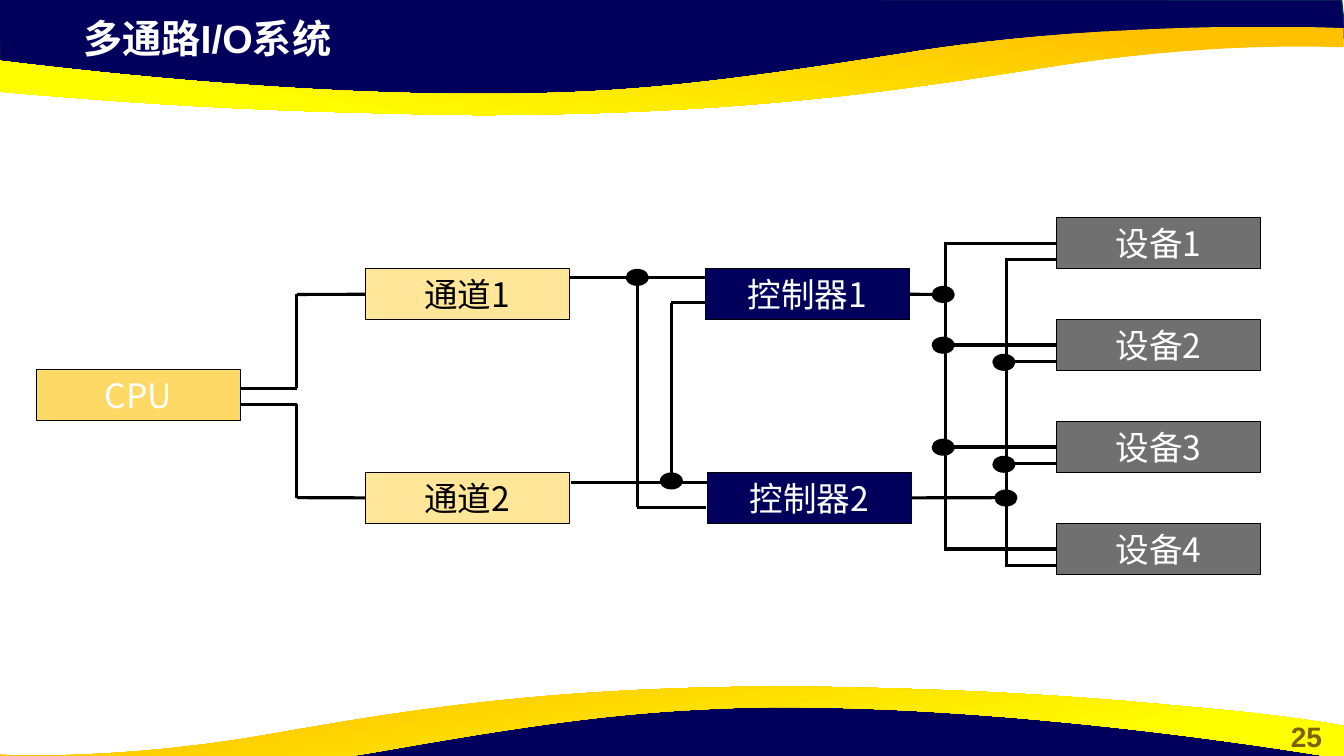
from lxml import etree
from pptx import Presentation
from pptx.dml.color import RGBColor
from pptx.enum.shapes import MSO_CONNECTOR, MSO_SHAPE
from pptx.enum.text import MSO_ANCHOR, PP_ALIGN
from pptx.oxml.ns import qn
from pptx.util import Cm, Pt

STRAIGHT = MSO_CONNECTOR.STRAIGHT
RECTANGLE, OVAL = MSO_SHAPE.RECTANGLE, MSO_SHAPE.OVAL
MIDDLE = MSO_ANCHOR.MIDDLE
LEFT, CENTER = PP_ALIGN.LEFT, PP_ALIGN.CENTER
LEFT_SIDE, RIGHT_SIDE = 1, 3

NAVY = RGBColor(0x00, 0x00, 0x5C)
NAVY_EDGE = RGBColor(0x05, 0x30, 0x4F)
ORANGE = RGBColor(0xFF, 0xC0, 0x00)
YELLOW = RGBColor(0xFF, 0xFF, 0x00)
BROWN = RGBColor(0x80, 0x60, 0x00)
GOLD = RGBColor(0xFF, 0xD9, 0x66)
CREAM = RGBColor(0xFF, 0xE6, 0x99)
GRAY = RGBColor(0x70, 0x70, 0x70)
WHITE = RGBColor(0xFF, 0xFF, 0xFF)
BLACK = RGBColor(0x00, 0x00, 0x00)
CJK_FONT = "Noto Sans CJK SC"

presentation = Presentation()
presentation.slide_width, presentation.slide_height = Cm(33.87), Cm(19.05)
slide = presentation.slides.add_slide(presentation.slide_layouts[6])
shapes = slide.shapes


def write_text(shape, text, size, font, color, align, bold=False):
    paragraph = shape.text_frame.paragraphs[0]
    paragraph.text = text
    paragraph.alignment = align
    paragraph.font.size = Pt(size)
    paragraph.font.bold = bold
    paragraph.font.color.rgb = color
    paragraph.font.name = font
    properties = paragraph._p.pPr.find(qn("a:defRPr"))
    etree.SubElement(properties, qn("a:ea")).set("typeface", CJK_FONT)


def add_wire(x1, y1, x2, y2):
    wire = shapes.add_connector(STRAIGHT, Cm(x1), Cm(y1), Cm(x2), Cm(y2))
    wire.line.color.rgb = BLACK
    wire.line.width = Pt(2.25)
    etree.SubElement(wire._element.spPr, qn("a:effectLst"))
    return wire


# Header and footer waves: a navy polygon under a gold ribbon.
# Segments hold a line end (2 numbers) or a cubic curve (6 numbers).
header_navy = [(-0.03, -0.03), (0, 1.78), (7.44, 2.59), (14.2, 2.54), (20.19, 2.24),
               (25.81, 1.27), (31.45, 0.84), (33.91, 0.97), (33.81, 0)]
header_ribbon = [
    (12.27, 2.9),
    (11.25, 2.9, 10.19, 2.87, 9.04, 2.84),
    (5.23, 2.74, 2.79, 2.54, 0.91, 2.39),
    (-2.24, 2.13, -3.3, 1.9, -3.38, 1.9),
    (-3.38, 1.07),
    (-3.38, 1.07, 5.54, 2.49, 13.13, 2.36),
    (15.9, 2.31, 17.98, 2.11, 23.24, 1.27),
    (28.6, 0.46, 33.86, 0.71, 33.86, 0.71),
    (33.86, 1.19),
    (33.78, 1.19),
    (33.15, 1.17, 30.35, 1.09, 26.8, 1.63),
    (23.32, 2.16, 19.35, 2.87, 12.27, 2.9),
]
footer_navy = [(33.86, 20.17), (33.83, 18.39), (26.42, 17.55), (19.63, 17.6), (13.67, 17.93),
               (8.05, 18.87), (2.41, 19.3), (-0.08, 19.2), (0.03, 20.14)]
footer_ribbon = [
    (19.61, 17.3),
    (20.55, 17.3, 21.51, 17.32, 22.56, 17.35),
    (26.04, 17.45, 28.24, 17.65, 29.95, 17.81),
    (32.82, 18.06, 33.78, 18.29, 33.86, 18.29),
    (33.86, 19.13),
    (33.86, 19.13, 25.76, 17.7, 18.85, 17.83),
    (16.31, 17.91, 14.4, 18.08, 9.65, 18.92),
    (4.88, 19.76, -0.03, 19.51, -0.03, 19.51),
    (-0.03, 19),
    (0.05, 19.02),
    (0.64, 19.05, 3.18, 19.1, 6.4, 18.57),
    (9.55, 18.03, 13.18, 17.32, 19.61, 17.3),
]

for navy_segments, ribbon_segments, gradient_angle in (
        (header_navy, header_ribbon, 260), (footer_navy, footer_ribbon, 280)):
    waves = []
    for segments in (navy_segments, ribbon_segments):
        ends = [(Cm(segment[-2]), Cm(segment[-1])) for segment in segments]
        builder = shapes.build_freeform(*ends[0])
        builder.add_line_segments(ends[1:], close=True)
        wave = builder.convert_to_shape()
        wave.shadow.inherit = False
        # Turn a straight step into a curve by adding its two control points
        steps = list(wave._element.iter(qn("a:lnTo")))
        for step, segment in zip(steps, segments[1:]):
            if len(segment) == 6:
                step.tag = qn("a:cubicBezTo")
                for index in (0, 1):
                    control = etree.Element(qn("a:pt"))
                    control.set("x", str(Cm(segment[2 * index]) - wave.left))
                    control.set("y", str(Cm(segment[2 * index + 1]) - wave.top))
                    step.insert(index, control)
        waves.append(wave)
    navy, ribbon = waves
    navy.fill.solid()
    navy.fill.fore_color.rgb = NAVY
    navy.line.color.rgb = NAVY_EDGE
    navy.line.width = Pt(1)
    ribbon.line.fill.background()
    ribbon.fill.gradient()
    ribbon.fill.gradient_angle = gradient_angle
    for stop, color, position in zip(ribbon.fill.gradient_stops, (ORANGE, YELLOW), (0.11, 0.78)):
        stop.color.rgb = color
        stop.position = position

# Title and page number
for text, left, top, width, height, size, color, align in (
        ("25", 32, 18.01, 1.85, 1.12, 20, BROWN, CENTER),
        ("多通路I/O系统", 1.85, 0.23, 19.5, 1.45, 28, WHITE, LEFT)):
    text_box = shapes.add_textbox(Cm(left), Cm(top), Cm(width), Cm(height))
    text_box.text_frame.word_wrap = True
    write_text(text_box, text, size, "Arial", color, align, bold=True)

# Boxes
BOX_WIDTH, BOX_HEIGHT = 5.15, 1.29
DEVICE_LEFT, DEVICE_TOP, DEVICE_PITCH = 26.62, 5.48, 2.57
components = [
    ("CPU", 0.91, 9.32, GOLD, WHITE),
    ("通道1", 9.2, 6.77, CREAM, BLACK),
    ("通道2", 9.2, 11.9, CREAM, BLACK),
    ("控制器1", 17.77, 6.77, NAVY, WHITE),
    ("控制器2", 17.82, 11.9, NAVY, WHITE),
]
for index in range(4):
    components.append((f"设备{index + 1}", DEVICE_LEFT, DEVICE_TOP + index * DEVICE_PITCH, GRAY, WHITE))

boxes = {}
for name, left, top, fill_color, text_color in components:
    box = shapes.add_shape(RECTANGLE, Cm(left), Cm(top), Cm(BOX_WIDTH), Cm(BOX_HEIGHT))
    box.shadow.inherit = False
    box.fill.solid()
    box.fill.fore_color.rgb = fill_color
    box.line.color.rgb = BLACK
    box.line.width = Pt(0.75)
    box.text_frame.word_wrap = False
    box.text_frame.vertical_anchor = MIDDLE
    write_text(box, name, 24, CJK_FONT, text_color, CENTER)
    boxes[name] = box

# CPU to channels
for channel, cpu_y, channel_y in (("通道1", 9.78, 7.42), ("通道2", 10.19, 12.54)):
    add_wire(6.06, cpu_y, 7.48, cpu_y)
    add_wire(7.48, cpu_y, 7.48, channel_y)
    add_wire(7.48, channel_y, 9.2, channel_y).end_connect(boxes[channel], LEFT_SIDE)

# Channels to controllers, with cross links
for wire_ends in (
        (14.35, 6.99, 17.77, 6.99), (16.06, 6.99, 16.06, 12.78), (16.06, 12.78, 17.78, 12.78),
        (14.39, 12.16, 17.82, 12.16), (16.92, 12.16, 16.92, 7.63), (16.92, 7.63, 17.77, 7.63)):
    add_wire(*wire_ends)

# Controllers to their buses
BUS_1, BUS_2 = 23.82, 25.37
add_wire(22.92, 7.42, BUS_1, 7.42).begin_connect(boxes["控制器1"], RIGHT_SIDE)
add_wire(22.97, 12.54, BUS_2, 12.54).begin_connect(boxes["控制器2"], RIGHT_SIDE)

# Buses to devices: bus 1 enters mid-side, bus 2 a little lower
BUS_OFFSET, OVERLAP = 0.42, 0.04
first_y = DEVICE_TOP + BOX_HEIGHT / 2
last_y = first_y + 3 * DEVICE_PITCH
for bus, offset in ((BUS_1, 0), (BUS_2, BUS_OFFSET)):
    add_wire(bus, first_y + offset, bus, last_y + offset)
    for index in range(4):
        y = first_y + offset + index * DEVICE_PITCH
        branch = add_wire(bus - OVERLAP, y, DEVICE_LEFT, y)
        if bus == BUS_1:
            branch.end_connect(boxes[f"设备{index + 1}"], LEFT_SIDE)

# Junction dots, by centre
DOT_WIDTH, DOT_HEIGHT = 0.58, 0.43
for x, y in ((16.06, 6.99), (16.92, 12.12), (23.77, 7.42), (23.77, 8.7), (23.77, 11.27),
             (25.3, 9.13), (25.3, 11.7), (25.35, 12.55)):
    dot = shapes.add_shape(OVAL, Cm(x - DOT_WIDTH / 2), Cm(y - DOT_HEIGHT / 2),
                           Cm(DOT_WIDTH), Cm(DOT_HEIGHT))
    dot.shadow.inherit = False
    dot.fill.solid()
    dot.fill.fore_color.rgb = BLACK
    dot.line.fill.background()

presentation.save("out.pptx")
